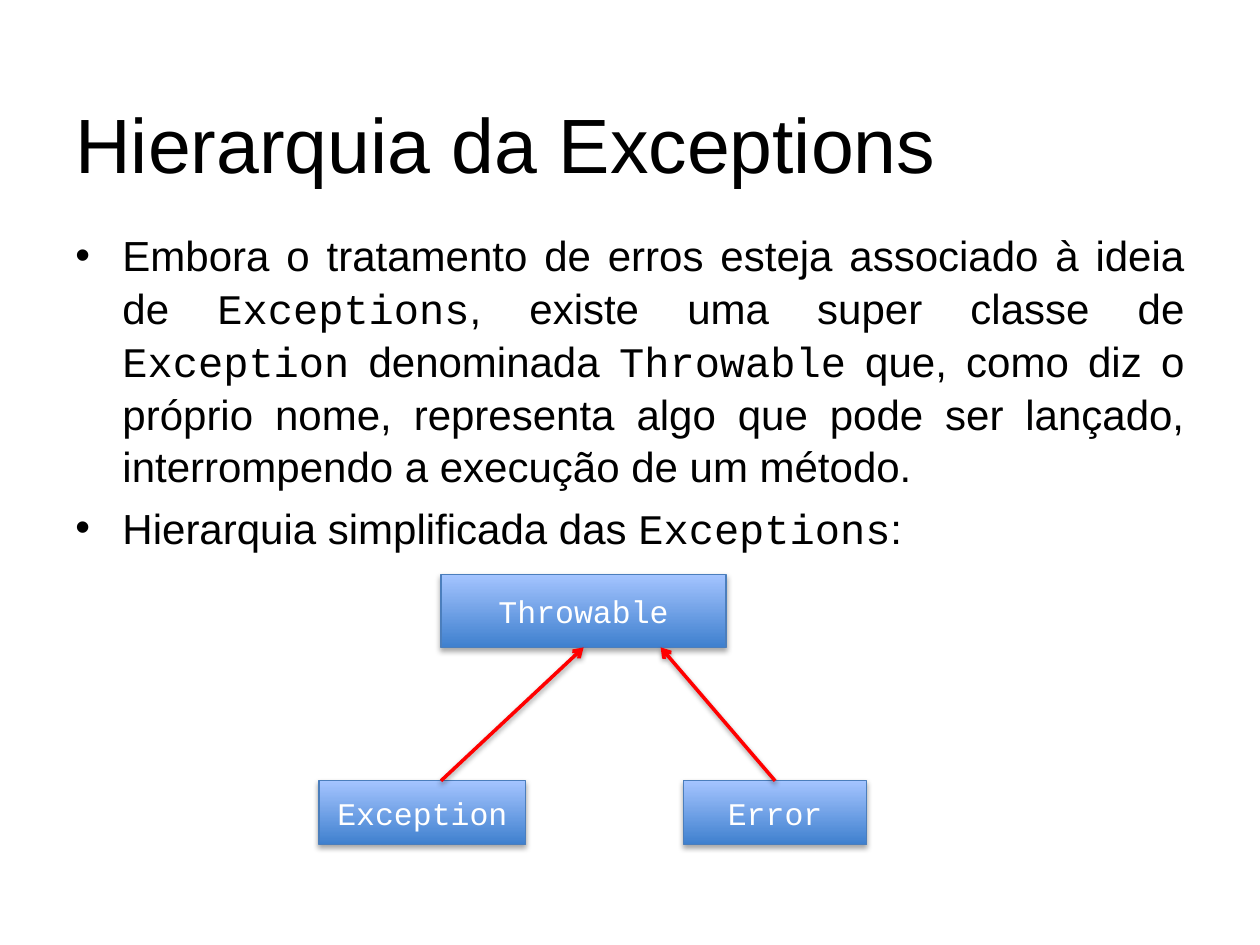
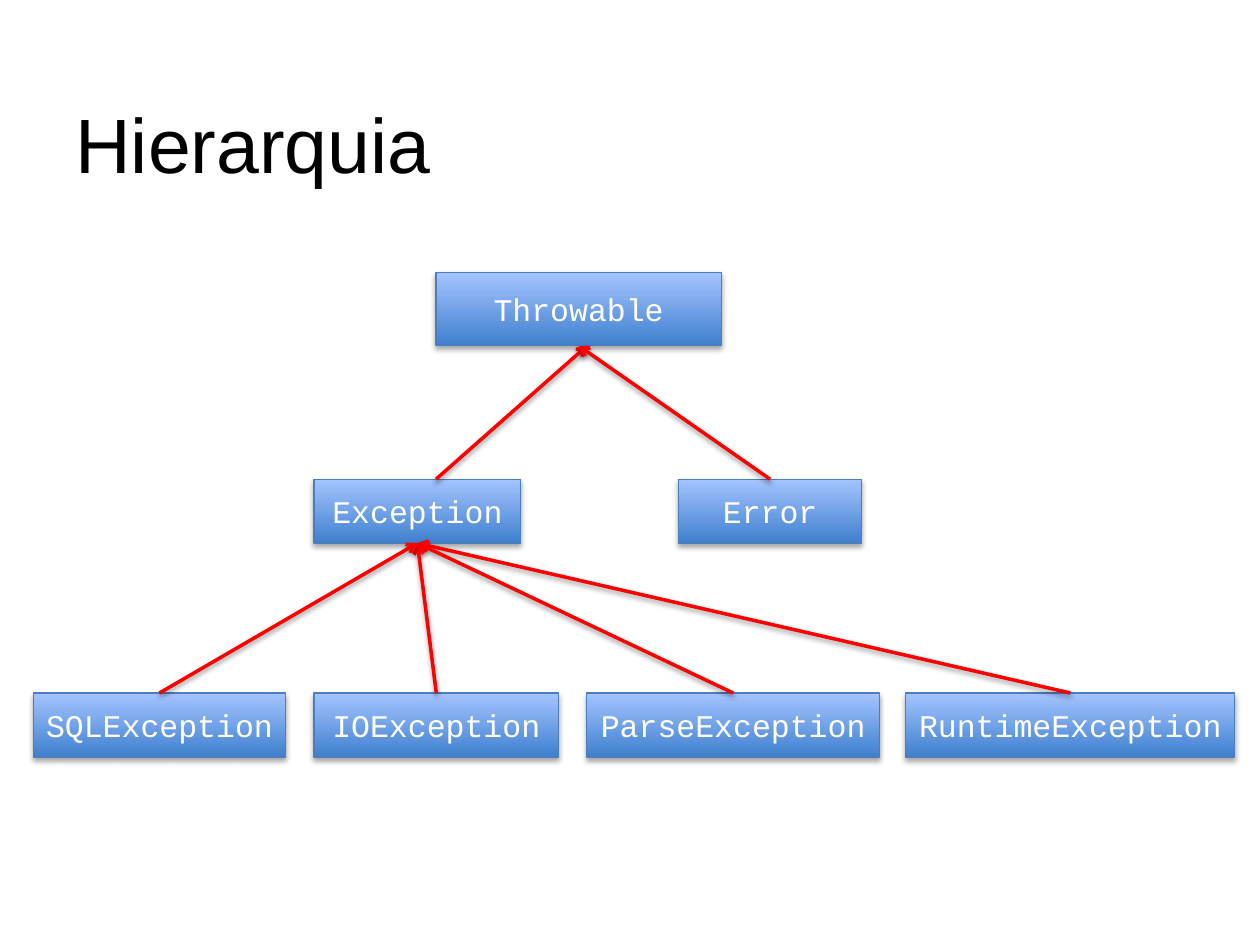
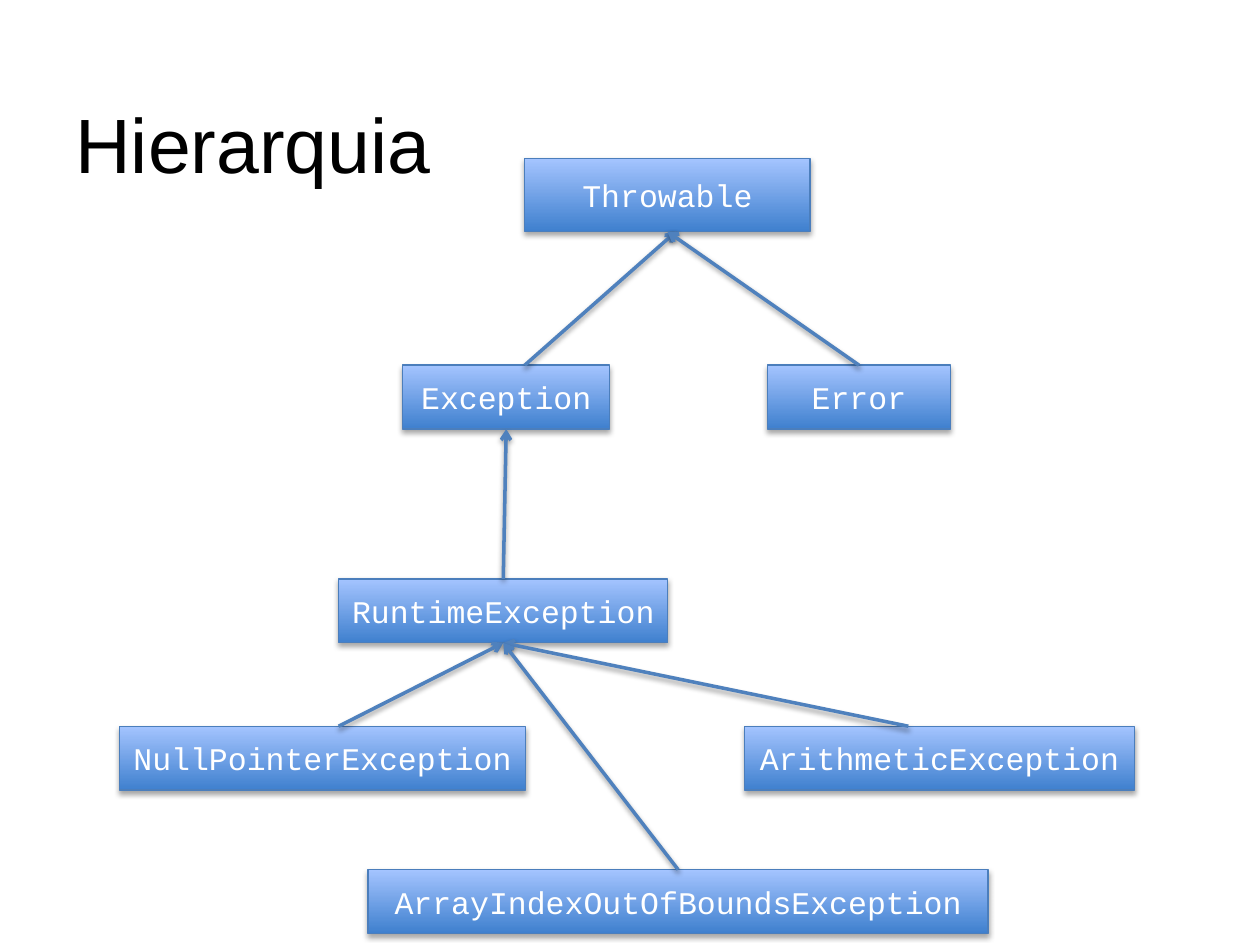
from dataclasses import dataclass

from lxml import etree
from pptx import Presentation
from pptx.dml.color import RGBColor
from pptx.enum.shapes import MSO_CONNECTOR, MSO_SHAPE
from pptx.enum.text import MSO_ANCHOR, PP_ALIGN
from pptx.oxml.ns import qn
from pptx.util import Cm, Pt

RECTANGLE = MSO_SHAPE.RECTANGLE
STRAIGHT = MSO_CONNECTOR.STRAIGHT
TOP, MIDDLE, BOTTOM = MSO_ANCHOR.TOP, MSO_ANCHOR.MIDDLE, MSO_ANCHOR.BOTTOM
LEFT, CENTER, JUSTIFY = PP_ALIGN.LEFT, PP_ALIGN.CENTER, PP_ALIGN.JUSTIFY


@dataclass(frozen=True)
class Theme:
    black: str = "000000"
    white: str = "FFFFFF"
    box_dark: str = "3F80CE"
    box_light: str = "A4C4FF"
    box_border: str = "4B7EBC"
    red: str = "FF0000"
    blue: str = "4F81BD"
    sans: str = "Arial"
    mono: str = "Courier New"
    title_size: float = 44
    body_size: float = 24
    box_size: float = 18


THEME = Theme()

# Class name -> box width in cm
WIDTHS = {
    "Throwable": 5.75,
    "Exception": 4.17,
    "Error": 3.69,
    "SQLException": 5.09,
    "IOException": 4.93,
    "ParseException": 5.9,
    "RuntimeException": 6.63,
    "NullPointerException": 8.18,
    "ArrayIndexOutOfBoundsException": 12.5,
    "ArithmeticException": 7.86,
}
ROOT_HEIGHT, BOX_HEIGHT = 1.47, 1.29
# Places of the two children relative to Throwable, in cm
CHILD_DROP, EXCEPTION_SHIFT, ERROR_SHIFT = 4.16, -2.46, 4.89

# Backticks mark code words.
INTRO = [
    "Embora o tratamento de erros esteja associado à ideia de `Exceptions`, "
    "existe uma super classe de `Exception` denominada `Throwable` que, como diz "
    "o próprio nome, representa algo que pode ser lançado, interrompendo a "
    "execução de um método.",
    "Hierarquia simplificada das `Exceptions`:",
]

# root: corner of Throwable; classes: corners of further boxes;
# arrows: child, share of its width, parent, share of its width
SLIDES = [
    dict(
        title="Hierarquia da Exceptions", body=INTRO, color=THEME.red,
        root=(8.89, 11.58), classes={},
        arrows=[("Exception", 0.59, "Throwable", 0.5),
                ("Error", 0.5, "Throwable", 0.77)],
    ),
    dict(
        title="Hierarquia", body=[], color=THEME.red, root=(8.79, 5.5),
        classes={"SQLException": (0.67, 13.97), "IOException": (6.33, 13.97),
                 "ParseException": (11.83, 13.97), "RuntimeException": (18.26, 13.97)},
        arrows=[("Exception", 0.59, "Throwable", 0.53),
                ("Error", 0.5, "Throwable", 0.5),
                ("RuntimeException", 0.5, "Exception", 0.5),
                ("ParseException", 0.5, "Exception", 0.5),
                ("IOException", 0.5, "Exception", 0.5),
                ("SQLException", 0.5, "Exception", 0.5)],
    ),
    dict(
        title="Hierarquia", body=[], color=THEME.blue, root=(10.58, 3.2),
        classes={"RuntimeException": (6.83, 11.67), "NullPointerException": (2.41, 14.64),
                 "ArrayIndexOutOfBoundsException": (7.42, 17.53),
                 "ArithmeticException": (15.01, 14.64)},
        arrows=[("Exception", 0.59, "Throwable", 0.53),
                ("Error", 0.5, "Throwable", 0.5),
                ("RuntimeException", 0.5, "Exception", 0.5),
                ("ArithmeticException", 0.42, "RuntimeException", 0.5),
                ("NullPointerException", 0.54, "RuntimeException", 0.5),
                ("ArrayIndexOutOfBoundsException", 0.5, "RuntimeException", 0.5)],
    ),
]


def write_text(shape, paragraphs, *, size, color=THEME.black, font=THEME.sans,
               align=LEFT, anchor=TOP, inset=0.25, bullet=False, spacing=1.0):
    """Fill a shape with formatted paragraphs; backticks switch to the code font."""
    frame = shape.text_frame
    frame.word_wrap = True
    frame.vertical_anchor = anchor
    frame.margin_left = frame.margin_right = Cm(inset)
    for number, text in enumerate(paragraphs):
        paragraph = frame.paragraphs[0] if number == 0 else frame.add_paragraph()
        paragraph.alignment = align
        paragraph.line_spacing = spacing
        for part, words in enumerate(text.split("`")):
            run = paragraph.add_run()
            run.text = words
            run.font.size = Pt(size)
            run.font.name = THEME.mono if part % 2 else font
            run.font.color.rgb = RGBColor.from_string(color)
        if bullet:
            paragraph.space_before = Pt(size * 0.2)
            properties = paragraph._p.get_or_add_pPr()
            properties.set("marL", str(Cm(0.95)))
            properties.set("indent", str(-Cm(0.95)))
            etree.SubElement(properties, qn("a:buFont")).set("typeface", THEME.sans)
            etree.SubElement(properties, qn("a:buChar")).set("char", "•")


def add_shadow(shape, distance, opacity):
    """Give a shape a soft black shadow straight below it."""
    effects = etree.SubElement(shape.element.spPr, qn("a:effectLst"))
    shadow = etree.SubElement(
        effects, qn("a:outerShdw"), blurRad=str(Pt(3.1)), dist=str(Pt(distance)),
        dir="5400000", rotWithShape="0")
    tint = etree.SubElement(shadow, qn("a:srgbClr"), val=THEME.black)
    etree.SubElement(tint, qn("a:alpha"), val=str(opacity * 1000))


deck = Presentation()
deck.slide_width, deck.slide_height = Cm(25.4), Cm(19.05)

for content in SLIDES:
    slide = deck.slides.add_slide(deck.slide_layouts[6])
    title = slide.shapes.add_textbox(Cm(1.27), Cm(0.76), Cm(22.86), Cm(3.18))
    write_text(title, [content["title"]], size=THEME.title_size, anchor=BOTTOM)
    if content["body"]:
        body = slide.shapes.add_textbox(Cm(1.27), Cm(4.45), Cm(22.86), Cm(12.57))
        write_text(body, content["body"], size=THEME.body_size, align=JUSTIFY,
                   bullet=True, spacing=1.05)

    root_x, root_y = content["root"]
    corners = {
        "Throwable": (root_x, root_y),
        "Exception": (root_x + EXCEPTION_SHIFT, root_y + CHILD_DROP),
        "Error": (root_x + ERROR_SHIFT, root_y + CHILD_DROP),
        **content["classes"],
    }
    boxes = {}
    for name, (x, y) in corners.items():
        height = ROOT_HEIGHT if name == "Throwable" else BOX_HEIGHT
        box = slide.shapes.add_shape(RECTANGLE, Cm(x), Cm(y), Cm(WIDTHS[name]), Cm(height))
        box.fill.gradient()
        box.fill.gradient_angle = 90
        for stop, shade in zip(box.fill.gradient_stops, (THEME.box_dark, THEME.box_light)):
            stop.color.rgb = RGBColor.from_string(shade)
        box.line.color.rgb = RGBColor.from_string(THEME.box_border)
        box.line.width = Pt(0.75)
        add_shadow(box, 1.8, 35)
        write_text(box, [name], size=THEME.box_size, color=THEME.white, font=THEME.mono,
                   align=CENTER, anchor=MIDDLE, inset=0)
        boxes[name] = box

    for child_name, child_share, parent_name, parent_share in content["arrows"]:
        child, parent = boxes[child_name], boxes[parent_name]
        arrow = slide.shapes.add_connector(
            STRAIGHT,
            child.left + int(child.width * child_share), child.top,
            parent.left + int(parent.width * parent_share), parent.top + parent.height)
        arrow.line.color.rgb = RGBColor.from_string(content["color"])
        arrow.line.width = Pt(2)
        etree.SubElement(arrow.element.spPr.find(qn("a:ln")), qn("a:tailEnd"), type="arrow")
        add_shadow(arrow, 1.6, 38)

deck.save("out.pptx")
